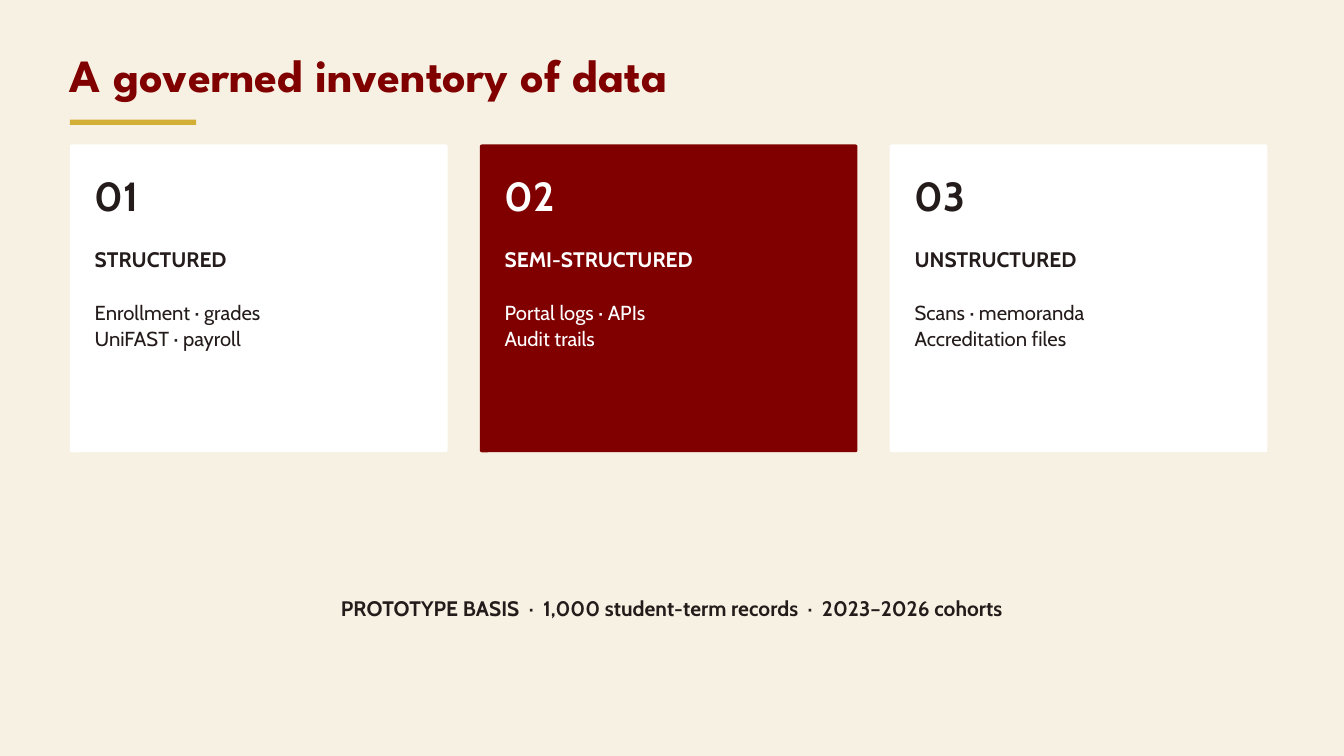
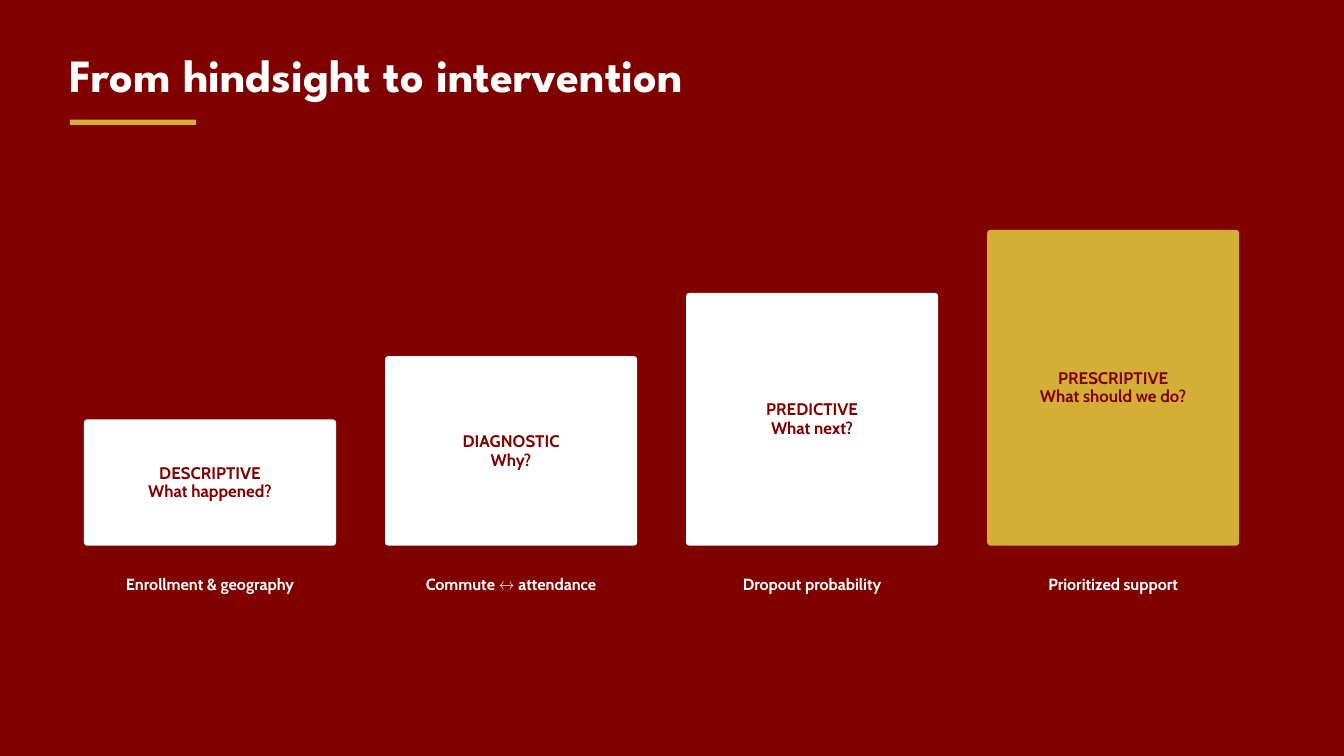
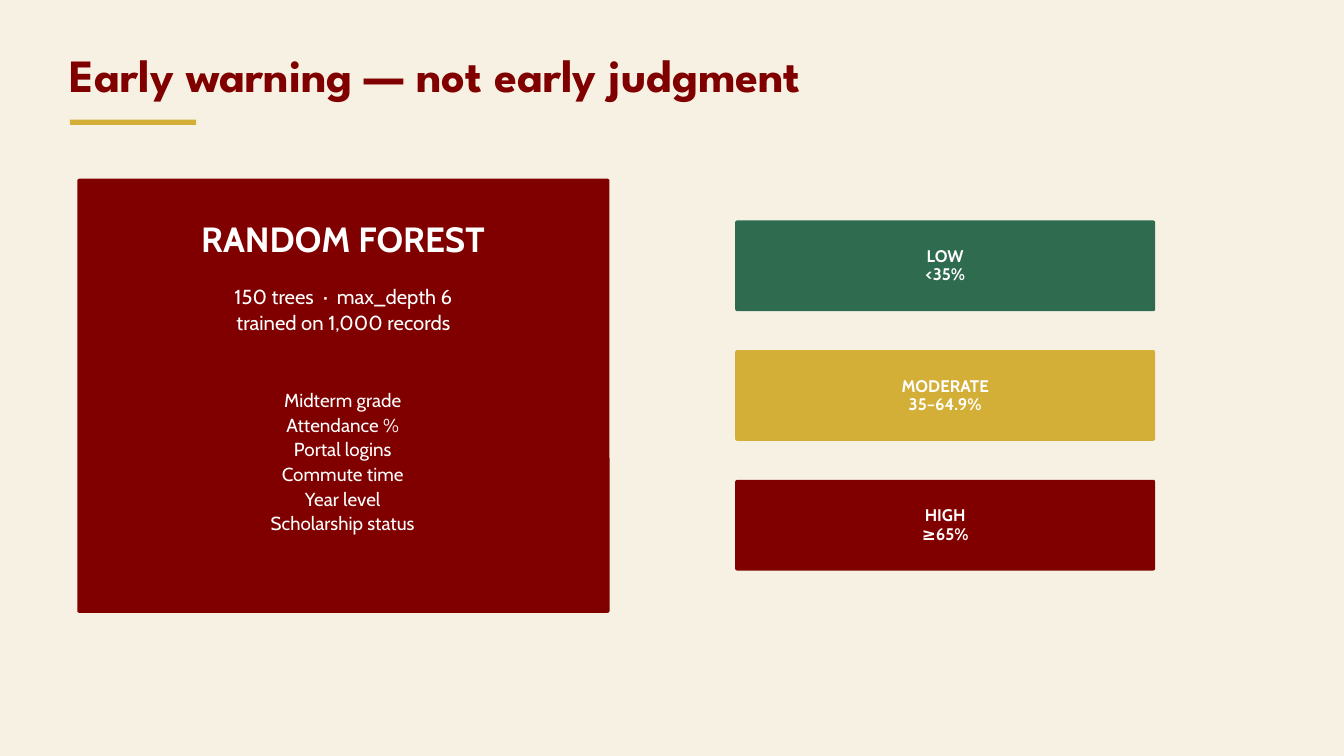
from dataclasses import dataclass

from pptx import Presentation
from pptx.dml.color import RGBColor
from pptx.enum.shapes import MSO_SHAPE as Shape
from pptx.enum.text import MSO_ANCHOR as Anchor, PP_ALIGN as Align
from pptx.util import Inches, Pt

CREAM, MAROON, GOLD = "F7F1E3", "800000", "D4AF37"
WHITE, INK, GREEN = "FFFFFF", "241B1B", "2F6B4F"
MARGIN = 1.04


@dataclass(frozen=True)
class TextStyle:
    """Size and line pitch in points, with weight and typeface."""
    size: float
    pitch: float
    bold: bool = True
    font: str = "Cabin"


TITLE = TextStyle(49.5, 50.5, font="League Spartan")
NUMBER = TextStyle(43.5, 56.5)
MODEL = TextStyle(37.5, 48.8)
HEADING = TextStyle(22.5, 29.2)
BODY = TextStyle(21.75, 28.3, bold=False)
FEATURE = TextStyle(20.25, 26.3, bold=False)
LABEL = TextStyle(18, 19.8)
CAPTION = TextStyle(17.25, 22.4)

DATA_KINDS = [
    ("STRUCTURED", ["Enrollment · grades", "UniFAST · payroll"], WHITE, INK),
    ("SEMI-STRUCTURED", ["Portal logs · APIs", "Audit trails"], MAROON, WHITE),
    ("UNSTRUCTURED", ["Scans · memoranda", "Accreditation files"], WHITE, INK),
]
ANALYTICS_STEPS = [
    ("DESCRIPTIVE", "What happened?", "Enrollment & geography", WHITE),
    ("DIAGNOSTIC", "Why?", "Commute ↔ attendance", WHITE),
    ("PREDICTIVE", "What next?", "Dropout probability", WHITE),
    ("PRESCRIPTIVE", "What should we do?", "Prioritized support", GOLD),
]
MODEL_FEATURES = ["Midterm grade", "Attendance %", "Portal logins",
                  "Commute time", "Year level", "Scholarship status"]
RISK_BANDS = [("LOW", "<35%", GREEN), ("MODERATE", "35–64.9%", GOLD),
              ("HIGH", "≥65%", MAROON)]


def paint(color_format, color):
    """Set a fill or font colour from a hex string."""
    color_format.rgb = RGBColor.from_string(color)


def write(shape, lines, style, color, align=Align.LEFT, inset=0):
    """Put lines of text into a shape, one paragraph each."""
    text_frame = shape.text_frame
    text_frame.word_wrap = True
    text_frame.margin_left = text_frame.margin_right = Inches(inset)
    text_frame.margin_top = text_frame.margin_bottom = Inches(inset)
    text_frame.text = "\n".join(lines)
    for paragraph in text_frame.paragraphs:
        paragraph.alignment = align
        paragraph.line_spacing = Pt(style.pitch)
        for run in paragraph.runs:
            run.font.name = style.font
            run.font.size = Pt(style.size)
            run.font.bold = style.bold
            paint(run.font.color, color)


def add_text(slide, box, lines, style, color, align=Align.LEFT):
    """Add a text box without insets."""
    shape = slide.shapes.add_textbox(*map(Inches, box))
    write(shape, lines, style, color, align)


def add_panel(slide, box, fill, radius=0.0):
    """Add a plain filled rectangle, rounded when a radius is given."""
    kind = Shape.ROUNDED_RECTANGLE if radius else Shape.RECTANGLE
    shape = slide.shapes.add_shape(kind, *map(Inches, box))
    if radius:
        shape.adjustments[0] = radius / min(box[2:])
    shape.shadow.inherit = False
    shape.fill.solid()
    paint(shape.fill.fore_color, fill)
    shape.line.fill.background()
    return shape


def add_labelled_panel(slide, box, fill, lines, color, radius):
    """Add a rounded panel with centred bold lines."""
    shape = add_panel(slide, box, fill, radius)
    write(shape, lines, LABEL, color, Align.CENTER, inset=0.06)
    shape.text_frame.vertical_anchor = Anchor.MIDDLE


def add_titled_slide(presentation, title, background, title_color):
    """Add a blank slide with background, title and gold rule."""
    slide = presentation.slides.add_slide(presentation.slide_layouts[6])
    slide.background.fill.solid()
    paint(slide.background.fill.fore_color, background)
    add_text(slide, (MARGIN, 0.82, 17.92, 0.73), [title], TITLE, title_color)
    add_panel(slide, (MARGIN, 1.78, 1.88, 0.08), GOLD)
    return slide


def build_inventory(presentation):
    """Build the slide with three numbered data cards."""
    slide = add_titled_slide(presentation, "A governed inventory of data", CREAM, MAROON)
    for index, (heading, examples, fill, color) in enumerate(DATA_KINDS):
        left = MARGIN + 6.1 * index
        text_left = left + 0.37
        add_panel(slide, (left, 2.15, 5.62, 4.58), fill, 0.03)
        add_text(slide, (text_left, 2.48, 0.94, 0.76), [f"{index + 1:02}"], NUMBER, color)
        add_text(slide, (text_left, 3.64, 4.9, 0.4), [heading], HEADING, color)
        add_text(slide, (text_left, 4.43, 4.9, 0.76), examples, BODY, color)
    basis = "PROTOTYPE BASIS  ·  1,000 student-term records  ·  2023–2026 cohorts"
    add_text(slide, (1.98, 8.83, 16.04, 0.4), [basis], HEADING, INK, Align.CENTER)


def build_staircase(presentation):
    """Build the slide with four rising analytics steps."""
    slide = add_titled_slide(presentation, "From hindsight to intervention", MAROON, WHITE)
    width, baseline, rise = 3.75, 8.12, 0.94
    for index, (name, question, caption, fill) in enumerate(ANALYTICS_STEPS):
        left = 1.25 + 4.48 * index
        height = rise * (index + 2)
        add_labelled_panel(slide, (left, baseline - height, width, height), fill,
                           [name, question], MAROON, 0.05)
        add_text(slide, (left, 8.52, width, 0.3), [caption], CAPTION, WHITE, Align.CENTER)


def build_early_warning(presentation):
    """Build the slide with the model card and its risk bands."""
    slide = add_titled_slide(presentation, "Early warning — not early judgment", CREAM, MAROON)
    add_panel(slide, (1.15, 2.66, 7.92, 6.46), MAROON, 0.03)
    training = ["150 trees  ·  max_depth 6", "trained on 1,000 records"]
    for box, lines, style in [
        ((1.77, 3.19, 6.67, 0.67), ["RANDOM FOREST"], MODEL),
        ((1.88, 4.2, 6.46, 0.76), training, BODY),
        ((2.29, 5.76, 5.62, 2.18), MODEL_FEATURES, FEATURE),
    ]:
        add_text(slide, box, lines, style, WHITE, Align.CENTER)
    for index, (level, limits, fill) in enumerate(RISK_BANDS):
        box = (10.94, 3.28 + 1.93 * index, 6.25, 1.35)
        add_labelled_panel(slide, box, fill, [level, limits], WHITE, 0.03)


def main():
    """Build and save the presentation."""
    presentation = Presentation()
    presentation.slide_width = Inches(20)
    presentation.slide_height = Inches(11.25)
    build_inventory(presentation)
    build_staircase(presentation)
    build_early_warning(presentation)
    presentation.save("out.pptx")


if __name__ == "__main__":
    main()
